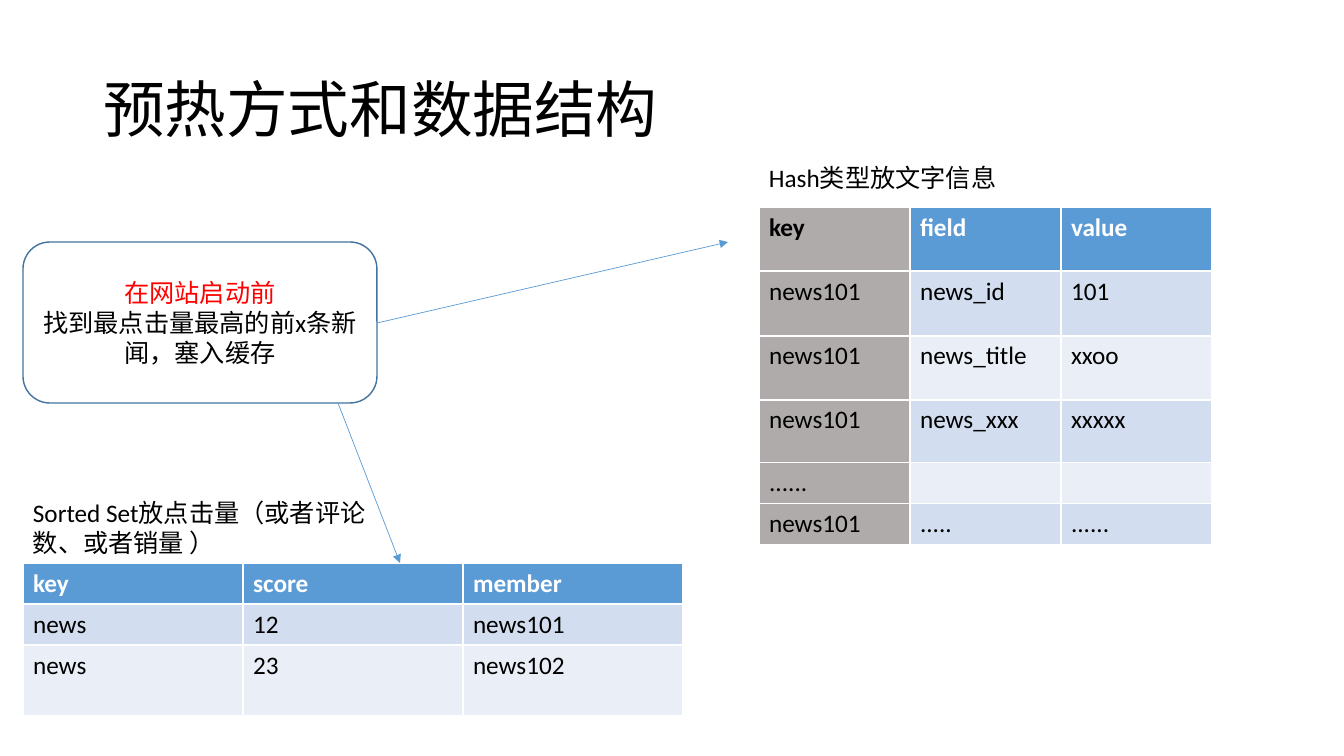
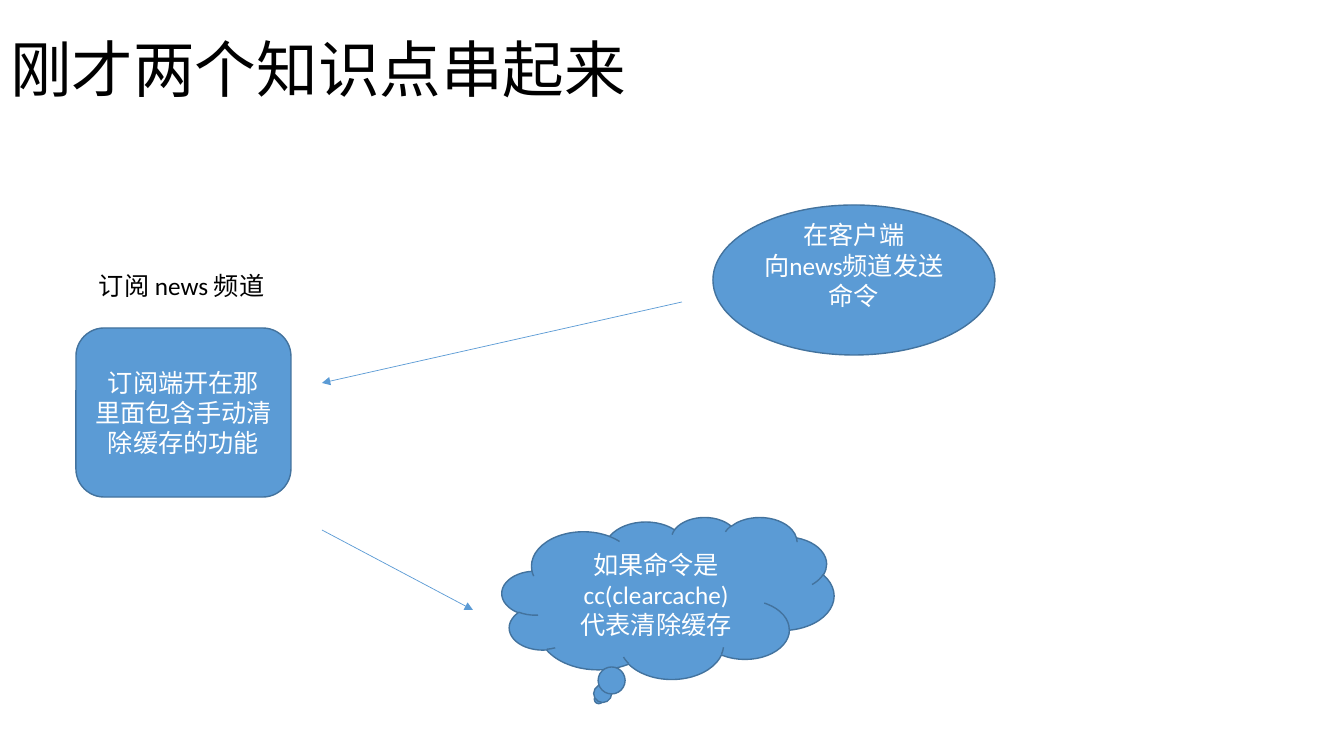
from lxml import etree
from pptx import Presentation
from pptx import util as u
from pptx.dml.color import RGBColor
from pptx.enum import shapes, text
from pptx.oxml.ns import qn

BLACK = RGBColor(0x00, 0x00, 0x00)
WHITE = RGBColor(0xFF, 0xFF, 0xFF)
RED = RGBColor(0xFF, 0x00, 0x00)
BLUE = RGBColor(0x5B, 0x9B, 0xD5)
OUTLINE = RGBColor(0x43, 0x73, 0x9E)
GRAY = RGBColor(0xAF, 0xAB, 0xAB)
BANDS = [RGBColor(0xEA, 0xEF, 0xF7), RGBColor(0xD2, 0xDE, 0xEF)]
FONT = "Calibri"
LEFT, CENTER = text.PP_ALIGN.LEFT, text.PP_ALIGN.CENTER
KIND = shapes.MSO_SHAPE


def px(*lengths):
    """Turn pixels (100.8 to the inch) into a list of EMU lengths."""
    return [u.Emu(round(n * 914400 / 100.8)) for n in lengths]


def write(tf, words, color, align=LEFT, size=18, bold=False):
    """Fill a text frame, one paragraph a line, in one style."""
    tf.text = words
    tf.word_wrap = True
    for p in tf.paragraphs:
        p.alignment = align
        p.font.name, p.font.size, p.font.bold = FONT, u.Pt(size), bold
        p.font.color.rgb = color


prs = Presentation()
prs.slide_width, prs.slide_height = px(1344, 756)

# Slides and titles
slides = []
for words, left, top in [("预热方式和数据结构", 93, 40), ("刚才两个知识点串起来", 0, 0)]:
    s = prs.slides.add_slide(prs.slide_layouts[5])
    title = s.shapes.title
    title.left, title.top, title.width, title.height = px(left, top, 1159, 146)
    tf = title.text_frame
    write(tf, words, BLACK, size=44)
    tf.vertical_anchor = text.MSO_ANCHOR.MIDDLE
    tf.paragraphs[0].line_spacing = 0.9
    slides.append(s)
warmup, pubsub = slides

# Outlined shapes with centred text
nodes = [
    (warmup, KIND.FLOWCHART_ALTERNATE_PROCESS, (23, 242, 354, 161), WHITE, BLACK,
     "在网站启动前\n找到最点击量最高的前x条新闻，塞入缓存"),
    (pubsub, KIND.ROUNDED_RECTANGLE, (76, 328, 215, 169), BLUE, WHITE,
     "订阅端开在那\n里面包含手动清除缓存的功能"),
    (pubsub, KIND.OVAL, (713, 205, 282, 150), BLUE, WHITE,
     "在客户端\n向news频道发送命令"),
    (pubsub, KIND.CLOUD_CALLOUT, (502, 517, 332, 162), BLUE, WHITE,
     "如果命令是\ncc(clearcache)\n代表清除缓存"),
]
for s, kind, box, fill, color, words in nodes:
    sp = s.shapes.add_shape(kind, *px(*box))
    sp.shadow.inherit = False
    sp.fill.solid()
    sp.fill.fore_color.rgb = fill
    sp.line.color.rgb, sp.line.width = OUTLINE, u.Pt(1)
    tf = sp.text_frame
    write(tf, words, color, CENTER)
    tf.vertical_anchor = text.MSO_ANCHOR.MIDDLE
    if kind == KIND.FLOWCHART_ALTERNATE_PROCESS:
        tf.paragraphs[0].font.color.rgb = RED
    elif kind == KIND.OVAL:
        tf.margin_bottom, = px(35)

# Labels
labels = [
    (warmup, (759, 157, 360, 40), "Hash类型放文字信息"),
    (warmup, (23, 492, 360, 71), "Sorted Set放点击量（或者评论数、或者销量 ）"),
    (pubsub, (89, 265, 202, 40), "订阅 news 频道"),
]
for s, box, words in labels:
    write(s.shapes.add_textbox(*px(*box)).text_frame, words, BLACK)

# Tables: position, column width, row heights, whether the key column is gray
tables = [
    (23, 563, 220, [41, 41, 71], False,
     [["key", "score", "member"],
      ["news", "12", "news101"],
      ["news", "23", "news102"]]),
    (759, 207, 151, [64, 65, 64, 63, 41, 41], True,
     [["key", "field", "value"],
      ["news101", "news_id", "101"],
      ["news101", "news_title", "xxoo"],
      ["news101", "news_xxx", "xxxxx"],
      ["......", "", ""],
      ["news101", ".....", "......"]]),
]
for left, top, col_width, heights, gray_keys, rows in tables:
    frame = warmup.shapes.add_table(
        len(rows), 3, *px(left, top, 3 * col_width, sum(heights)))
    table = frame.table
    for column in table.columns:
        column.width, = px(col_width)
    for i, row in enumerate(rows):
        table.rows[i].height, = px(heights[i])
        for j, words in enumerate(row):
            cell = table.cell(i, j)
            is_gray = gray_keys and j == 0
            header = i == 0
            cell.fill.solid()
            cell.fill.fore_color.rgb = GRAY if is_gray else BLUE if header else BANDS[i % 2]
            color = WHITE if header and not is_gray else BLACK
            write(cell.text_frame, words, color, bold=header)

# Arrows
arrows = [
    (warmup, (377, 323, 728, 242)),
    (warmup, (338, 403, 400, 563)),
    (pubsub, (682, 302, 322, 383)),
    (pubsub, (322, 530, 473, 610)),
]
for s, ends in arrows:
    arrow = s.shapes.add_connector(shapes.MSO_CONNECTOR.STRAIGHT, *px(*ends))
    arrow.line.color.rgb, arrow.line.width = BLUE, u.Pt(0.5)
    etree.SubElement(arrow.line._get_or_add_ln(), qn("a:tailEnd"), type="triangle")
    etree.SubElement(arrow._element.spPr, qn("a:effectLst"))

prs.save("out.pptx")
